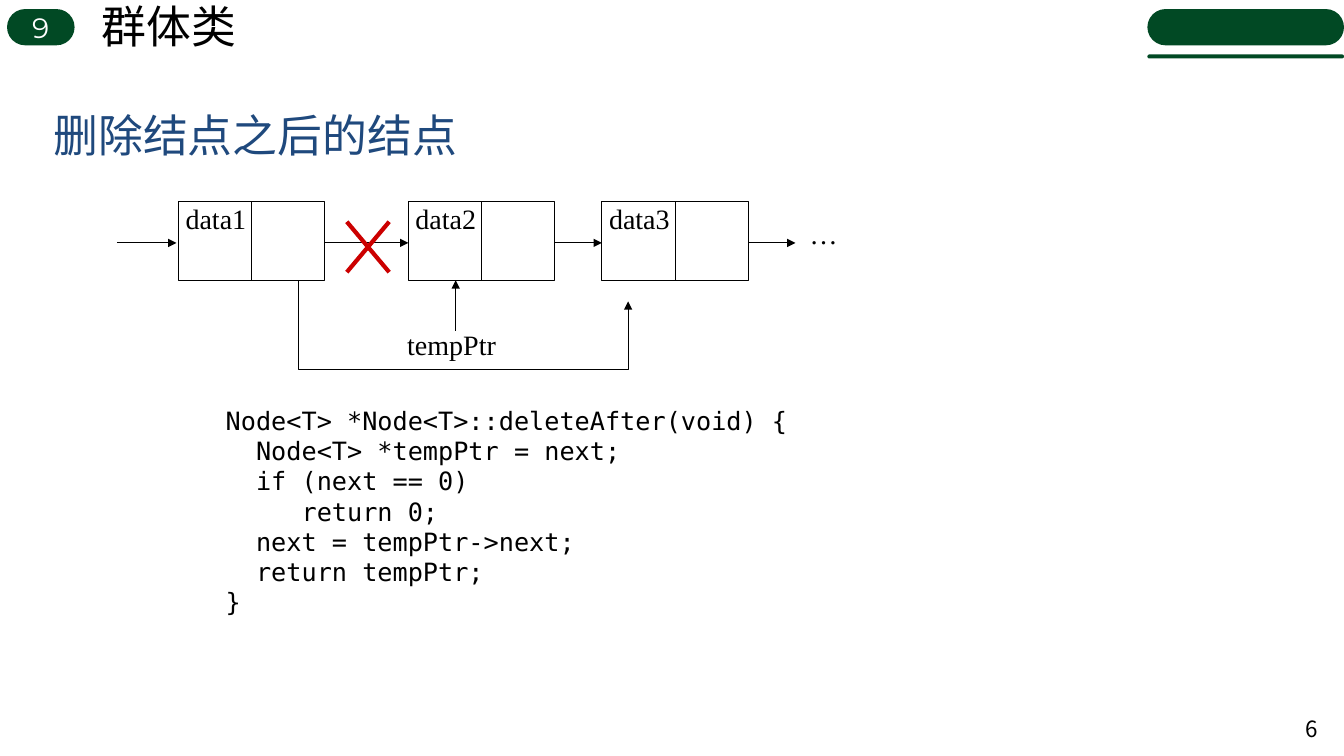
import pptx
import pptx.util
import pptx.dml.color
import pptx.enum.shapes
import pptx.enum.text
import pptx.oxml.ns
import lxml.etree

Inches, Pt = pptx.util.Inches, pptx.util.Pt
SHAPE = pptx.enum.shapes.MSO_SHAPE
ALIGN = pptx.enum.text.PP_ALIGN
ANCHOR = pptx.enum.text.MSO_ANCHOR
rgb = pptx.dml.color.RGBColor.from_string
qn = pptx.oxml.ns.qn
GREEN, BLUE, RED, BLACK, WHITE = "014924", "1F497D", "CC0000", "000000", "FFFFFF"
SERIF, SANS, CJK, MONO = "Times New Roman", "Montserrat", "Noto Sans CJK SC", "DejaVu Sans Mono"


def write(s, text, font, size, color=BLACK, align=ALIGN.LEFT, anchor=ANCHOR.TOP, wrap=True):
    tf = s.text_frame
    tf.word_wrap = wrap
    tf.vertical_anchor = anchor
    tf.text = text
    for p in tf.paragraphs:
        p.alignment = align
        for r in p.runs:
            r.font.name = font
            r.font.size = Pt(size)
            r.font.color.rgb = rgb(color)
            if font in (SANS, "Arial"):
                ea = lxml.etree.SubElement(r.font._element, qn("a:ea"))
                ea.set("typeface", CJK)
    return tf


def connect(x1, y1, x2, y2, color=BLACK, width=0.75, arrow=True):
    """Draw a straight line, with an arrowhead at its end if arrow is set."""
    c = sp.add_connector(pptx.enum.shapes.MSO_CONNECTOR.STRAIGHT,
                         Inches(x1), Inches(y1), Inches(x2), Inches(y2))
    c.line.color.rgb = rgb(color)
    c.line.width = Pt(width)
    if arrow:
        lxml.etree.SubElement(c.line._get_or_add_ln(), qn("a:tailEnd"), type="triangle")
    lxml.etree.SubElement(c._element.spPr, qn("a:effectLst"))


prs = pptx.Presentation()
prs.slide_width, prs.slide_height = Inches(13.33), Inches(7.5)
sp = prs.slides.add_slide(prs.slide_layouts[6]).shapes

# Header: chapter badge on the left, bar with underline on the right
pills = []
for x, y, w, h in [(0.07, 0.09, 0.67, 0.36), (11.38, 0.09, 1.95, 0.36), (11.38, 0.54, 1.95, 0.04)]:
    s = sp.add_shape(SHAPE.ROUNDED_RECTANGLE, Inches(x), Inches(y), Inches(w), Inches(h))
    s.adjustments[0] = 0.5
    s.fill.solid()
    s.fill.fore_color.rgb = rgb(GREEN)
    s.line.fill.background()
    s.shadow.inherit = False
    pills.append(s)
write(pills[0], "9", SANS, 20, WHITE, ALIGN.CENTER, ANCHOR.MIDDLE)

s = sp.add_textbox(Inches(0.91), Inches(-0.06), Inches(1.55), Inches(0.64))
write(s, "群体类", "Arial", 32, wrap=False)

s = sp.add_textbox(Inches(12.68), Inches(7.03), Inches(0.49), Inches(0.4))
write(s, "6", CJK, 16, align=ALIGN.RIGHT, anchor=ANCHOR.MIDDLE)

s = sp.add_textbox(Inches(0.33), Inches(0.9), Inches(9), Inches(0.88))
tf = write(s, "删除结点之后的结点", SANS, 32, BLUE, anchor=ANCHOR.MIDDLE)
tf.margin_left = Inches(0.2)

# Linked list: each node is a box split in half, with an arrow to the next
NODE_TOP, NODE_W, NODE_H = 2, 1.45, 0.78
NODE_BOTTOM = NODE_TOP + NODE_H
LINK_Y = 2.41
connect(1.16, LINK_Y, 1.75, LINK_Y)
for label, left, link_end in [("data1", 1.77, 4.05), ("data2", 4.05, 5.97), ("data3", 5.97, 7.89)]:
    s = sp.add_shape(SHAPE.RECTANGLE, Inches(left), Inches(NODE_TOP), Inches(NODE_W), Inches(NODE_H))
    s.fill.background()
    s.line.color.rgb = rgb(BLACK)
    s.line.width = Pt(0.75)
    s.shadow.inherit = False
    tf = write(s, label, SERIF, 20)
    tf.margin_left = Inches(0.07)
    tf.margin_top = tf.margin_right = tf.margin_bottom = 0
    middle = left + NODE_W / 2
    connect(middle, NODE_TOP, middle, NODE_BOTTOM, arrow=False)
    connect(left + NODE_W, LINK_Y, link_end, LINK_Y)

s = sp.add_textbox(Inches(7.77), Inches(2.1), Inches(0.8), Inches(0.85))
write(s, "…", SERIF, 20, align=ALIGN.CENTER)

# New link from the first node around to the third
bypass = sp.build_freeform(Inches(2.96), Inches(2.79))
bypass.add_line_segments([(Inches(x), Inches(y)) for x, y in [(2.96, 3.67), (6.23, 3.67), (6.23, 2.99)]],
                         close=False)
s = bypass.convert_to_shape()
s.fill.background()
s.line.color.rgb = rgb(BLACK)
s.line.width = Pt(0.75)
s.shadow.inherit = False
lxml.etree.SubElement(s.line._get_or_add_ln(), qn("a:tailEnd"), type="triangle")

# Cross over the removed link
for x1, x2 in [(3.86, 3.44), (3.44, 3.86)]:
    connect(x1, 2.2, x2, 2.7, RED, 3, arrow=False)

s = sp.add_textbox(Inches(3.94), Inches(3.2), Inches(1.08), Inches(0.43))
write(s, "tempPtr", SERIF, 20)
connect(4.52, 3.28, 4.52, NODE_BOTTOM)

code = """Node<T> *Node<T>::deleteAfter(void) {
  Node<T> *tempPtr = next;
  if (next == 0)
     return 0;
  next = tempPtr->next;
  return tempPtr;
}"""
s = sp.add_textbox(Inches(2.14), Inches(3.97), Inches(7.58), Inches(2.22))
tf = write(s, code, MONO, 18)
for p in tf.paragraphs:
    p.line_spacing = Pt(21.6)

prs.save("out.pptx")
